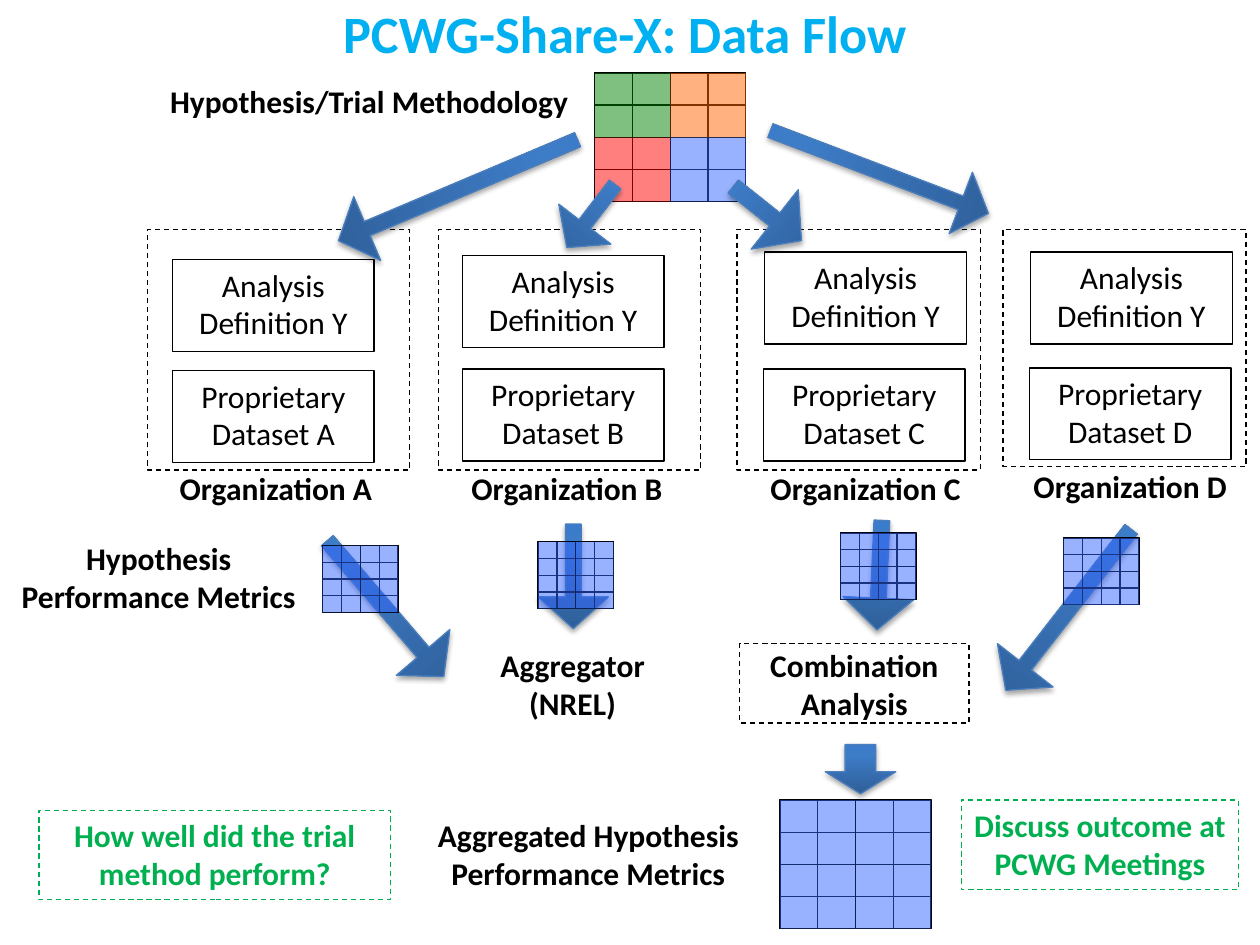
"""Builds the PCWG-Share-X data flow slide on a grid of 100 columns by 75 rows."""
from dataclasses import dataclass

from lxml.etree import SubElement
from pptx import Presentation
from pptx.dml.color import RGBColor
from pptx.enum.dml import MSO_LINE
from pptx.enum.shapes import MSO_SHAPE
from pptx.enum.text import MSO_ANCHOR, MSO_AUTO_SIZE, PP_ALIGN
from pptx.oxml.ns import qn
from pptx.util import Inches, Pt


@dataclass(frozen=True)
class Theme:
    font: str = "Calibri"
    title_size: int = 30
    text_size: int = 18
    line_width: float = 0.75
    title: str = "00B0F0"
    ink: str = "000000"
    outcome: str = "00B050"
    metric: str = "3366FF"
    trial: tuple = ("FF0000", "008000", "FF6600", "3366FF")
    arrow_line: str = "4B7EBC"
    arrow_stops: tuple = ((0, "2F5F99"), (80, "3D7CC7"), (100, "3A7CCB"))


THEME = Theme()
WIDTH, HEIGHT = Inches(10), Inches(7.5)
COLS, ROWS = 100, 75
BOX_SIZE = (16, 7.3)
FRAME_TOP = 18.2

TITLE = ("PCWG-Share-X: Data Flow", (-0.4, -0.1, 100, 5.3))
DEFINITION = "Analysis Definition Y"
ORGANIZATIONS = [
    dict(key="A", frame=(11.7, 20.8, 19.1), definition=(13.7, 20.6),
         dataset=(13.7, 29.4), label=(12.7, 36.7)),
    dict(key="B", frame=(34.8, 20.8, 19.1), definition=(36.7, 20.3),
         dataset=(36.7, 29.3), label=(35.8, 36.7)),
    dict(key="C", frame=(58.5, 19.3, 19.1), definition=(60.7, 20),
         dataset=(60.6, 29.3), label=(59.5, 36.7)),
    dict(key="D", frame=(79.6, 19.3, 18.8), definition=(81.8, 20),
         dataset=(81.7, 29.2), label=(80.5, 36.6)),
]
COMBINATION_FRAME = (58.7, 51.1, 18.2, 6.3)
LABELS = [
    ("Hypothesis/Trial Methodology", (11.7, 6, 35.2, 4)),
    ("Hypothesis Performance Metrics", (-0.2, 42.3, 25.6, 7.1)),
    ("Aggregator\n(NREL)", (31.1, 50.8, 28.7, 7.1)),
    ("Combination Analysis", (58.7, 50.8, 18.2, 7.1)),
    ("Aggregated Hypothesis Performance Metrics", (32.5, 64.3, 28.4, 7.1)),
]
OUTCOMES = [
    ("How well did the trial method perform?", (3.1, 64.3, 27.9, 7.1)),
    ("Discuss outcome at PCWG Meetings", (76.3, 63.5, 22, 7.1)),
]
SLIM, BROAD = 0.221, 0.435
ARROWS = [
    ((33.6, 4.8, 5.5, 20.6), 67.1, SLIM),
    ((44.3, 14, 5.2, 6.3), 37.5, SLIM),
    ((57.9, 13.5, 6, 6.9), 308.4, SLIM),
    ((67.2, 4.4, 5.2, 18.5), 290.8, SLIM),
    ((27.8, 41.2, 5.6, 14.2), 319.4, SLIM),
    ((42.7, 41.6, 5.6, 8.3), 0, SLIM),
    ((67, 41.3, 5.6, 8.7), 2.6, SLIM),
    ((82, 40.3, 5.6, 16.2), 37.9, SLIM),
    ((65.5, 59.1, 5.6, 3.9), 0, BROAD),
]
LARGE, SMALL = (12, 10.2), (6, 5.3)
TRIAL_MATRIX = (47.2, 5.8)
COMBINED_MATRIX = (61.9, 63.5)
METRIC_MATRICES = [(25.6, 43.3), (42.7, 43), (66.7, 42.3), (84.4, 42.7)]


def place(left, top, width, height):
    col, row = WIDTH / COLS, HEIGHT / ROWS
    return round(left * col), round(top * row), round(width * col), round(height * row)


def add_box(parent, area, line=None, fill=None, dash=False, preset=MSO_SHAPE.RECTANGLE):
    box = parent.add_shape(preset, *place(*area))
    box.shadow.inherit = False
    if fill:
        box.fill.solid()
        box.fill.fore_color.rgb = RGBColor.from_string(fill)
        color = box.fill._xPr.find(qn("a:solidFill")).find(qn("a:srgbClr"))
        SubElement(color, qn("a:alpha"), val="50000")
    else:
        box.fill.background()
    if line:
        box.line.color.rgb = RGBColor.from_string(line)
        box.line.width = Pt(THEME.line_width)
        if dash:
            box.line.dash_style = MSO_LINE.DASH
    else:
        box.line.fill.background()
    return box


def write(shape, text, color=THEME.ink, size=THEME.text_size, bold=False,
          anchor=MSO_ANCHOR.TOP, fit=MSO_AUTO_SIZE.NONE):
    frame = shape.text_frame
    frame.text = text
    frame.word_wrap = True
    frame.auto_size = fit
    frame.vertical_anchor = anchor
    for paragraph in frame.paragraphs:
        paragraph.alignment = PP_ALIGN.CENTER
        font = paragraph.runs[0].font
        font.name, font.size, font.bold = THEME.font, Pt(size), bold
        font.color.rgb = RGBColor.from_string(color)


def add_label(shapes, text, area):
    write(shapes.add_textbox(*place(*area)), text, bold=True,
          fit=MSO_AUTO_SIZE.SHAPE_TO_FIT_TEXT)


def add_organization(shapes, key, frame, definition, dataset, label):
    left, width, height = frame
    add_box(shapes, (left, FRAME_TOP, width, height), line=THEME.ink, dash=True)
    for text, corner in ((f"Proprietary Dataset {key}", dataset), (DEFINITION, definition)):
        write(add_box(shapes, (*corner, *BOX_SIZE), line=THEME.ink), text)
    add_label(shapes, f"Organization {key}", (*label, 18.4, 4))


def add_arrow(shapes, area, rotation, shaft):
    arrow = add_box(shapes, area, line=THEME.arrow_line, preset=MSO_SHAPE.DOWN_ARROW)
    arrow.rotation = rotation
    head = 0.45
    arrow.adjustments[0], arrow.adjustments[1] = shaft, head
    arrow.fill.gradient()
    arrow.fill.gradient_angle = 90
    properties = arrow._element.spPr
    stops = properties.find(qn("a:gradFill")).find(qn("a:gsLst"))
    for stop in list(stops):
        stops.remove(stop)
    for position, color in THEME.arrow_stops:
        stop = SubElement(stops, qn("a:gs"), pos=str(position * 1000))
        SubElement(stop, qn("a:srgbClr"), val=color)
    shadow = SubElement(properties.find(qn("a:effectLst")), qn("a:outerShdw"),
                        blurRad=str(Pt(3.1)), dist=str(Pt(1.8)), dir="5400000",
                        rotWithShape="0")
    shade = SubElement(shadow, qn("a:srgbClr"), val=THEME.ink)
    SubElement(shade, qn("a:alpha"), val="35000")


def add_matrix(shapes, corner, size, tints):
    matrix = shapes.add_group_shape().shapes
    (left, top), (width, height) = corner, size
    for i in range(4):
        add_box(matrix, (left + i * width / 4, top, width / 4, height), line=THEME.ink)
    for i in range(4):
        add_box(matrix, (left, top + i * height / 4, width, height / 4), line=THEME.ink)
    for (col, row), tint in zip(((0, 1), (0, 0), (1, 0), (1, 1)), tints):
        add_box(matrix, (left + col * width / 2, top + row * height / 2,
                         width / 2, height / 2), fill=tint)


def main():
    deck = Presentation()
    deck.slide_width, deck.slide_height = WIDTH, HEIGHT
    slide = deck.slides.add_slide(deck.slide_layouts[5])
    shapes = slide.shapes
    heading, heading_area = TITLE
    title = shapes.title
    title.left, title.top, title.width, title.height = place(*heading_area)
    write(title, heading, color=THEME.title, size=THEME.title_size, bold=True,
          anchor=MSO_ANCHOR.MIDDLE)
    for organization in ORGANIZATIONS:
        add_organization(shapes, **organization)
    add_box(shapes, COMBINATION_FRAME, line=THEME.ink, dash=True)
    for text, area in LABELS:
        add_label(shapes, text, area)
    metric_tints = (THEME.metric,) * 4
    add_matrix(shapes, COMBINED_MATRIX, LARGE, metric_tints)
    add_matrix(shapes, TRIAL_MATRIX, LARGE, THEME.trial)
    for area, rotation, shaft in ARROWS:
        add_arrow(shapes, area, rotation, shaft)
    for corner in METRIC_MATRICES:
        add_matrix(shapes, corner, SMALL, metric_tints)
    for text, area in OUTCOMES:
        write(add_box(shapes, area, line=THEME.outcome, dash=True), text,
              color=THEME.outcome, bold=True, fit=MSO_AUTO_SIZE.SHAPE_TO_FIT_TEXT)
    deck.save("out.pptx")


if __name__ == "__main__":
    main()
